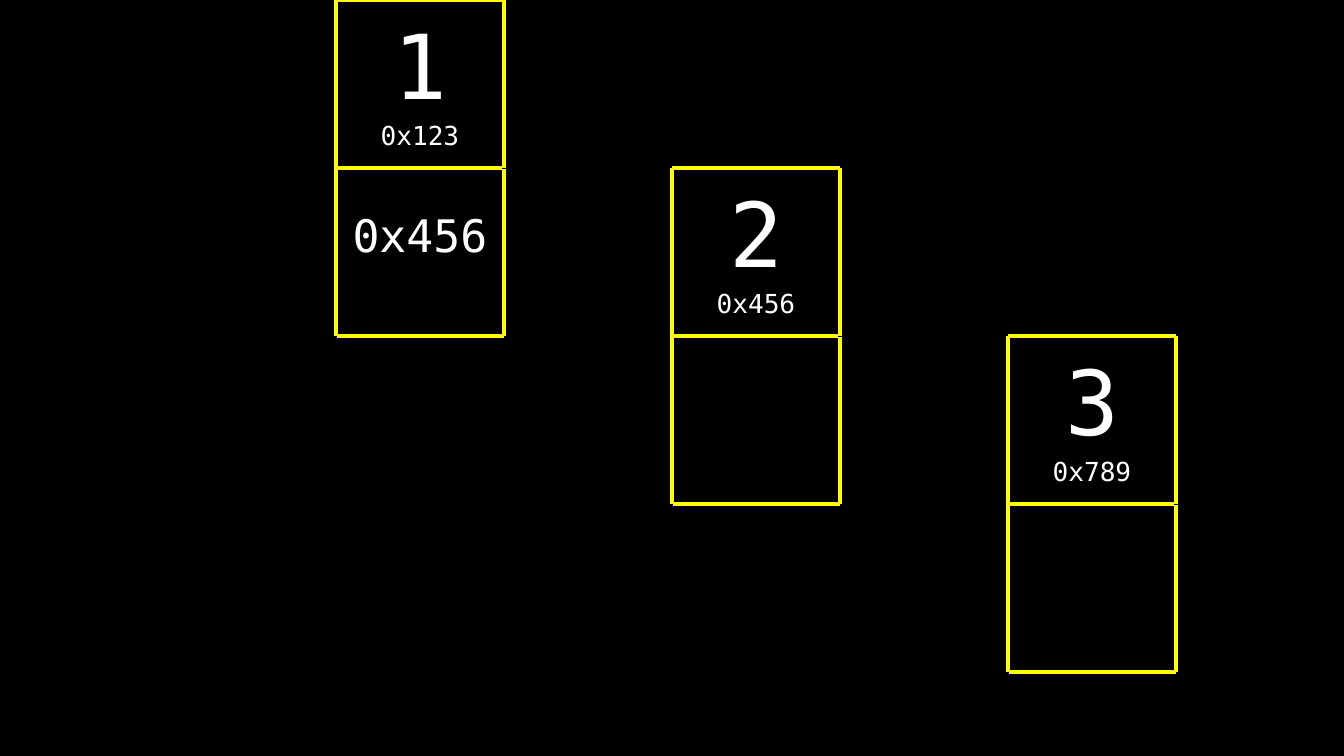
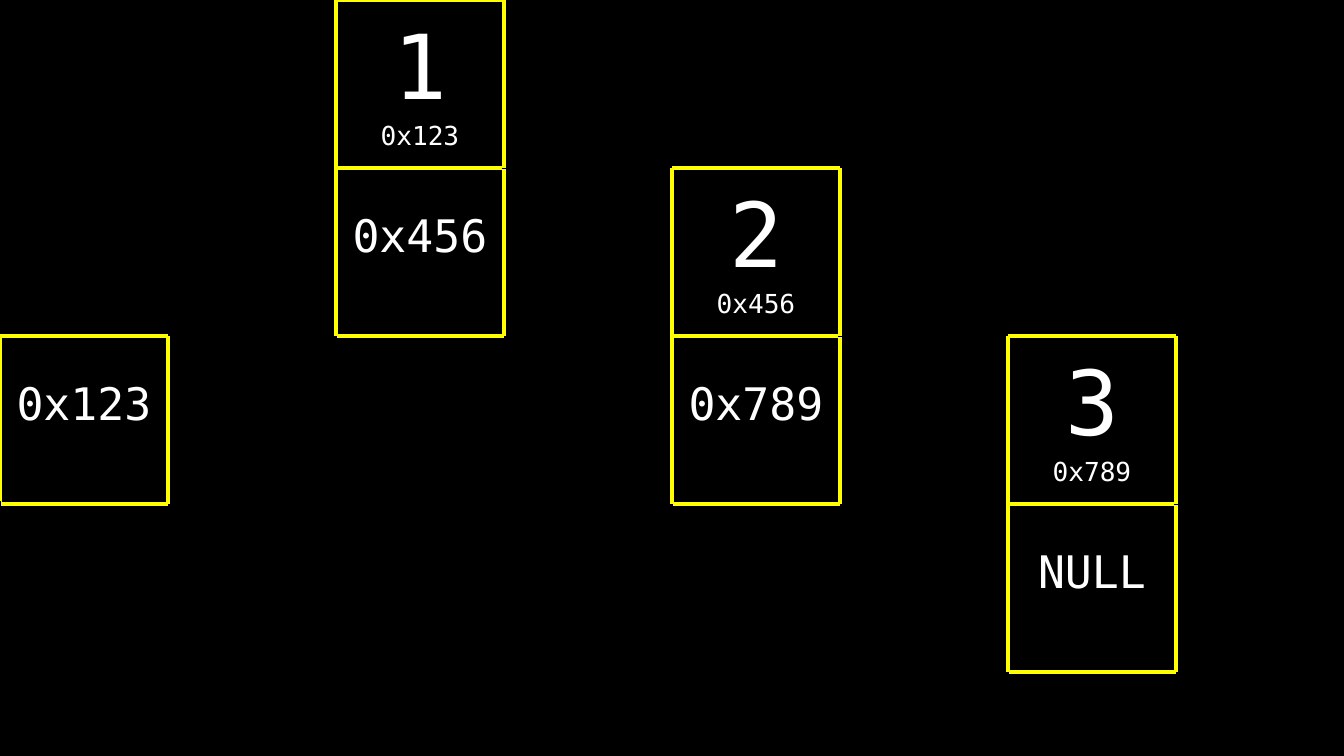
from lxml.etree import SubElement
from pptx import Presentation
from pptx.dml.color import RGBColor as RGB
from pptx.enum.text import MSO_ANCHOR as ANCHOR, PP_ALIGN as ALIGN
from pptx.oxml.ns import qn
from pptx.util import Pt

COLORS = {"background": "000000", "text": "FFFFFF", "border": "FFFF00"}
FONT = "DejaVu Sans Mono"
ROWS, COLS, CELL = 5, 8, 90
INSET, POINTER_INSET = 7.2, 39.2
SIDES = {"lnL": (0, -1), "lnR": (0, 1), "lnT": (-1, 0), "lnB": (1, 0)}
NO_STYLE = "{2D5ABB26-0587-4C30-8999-92F81FD0307C}"
NODES = [("1", "0x123"), ("2", "0x456"), ("3", "0x789")]


def write(p, text, size, color="text", align=ALIGN.CENTER):
    """Put one formatted run of text into a paragraph."""
    p.alignment = align
    r = p.add_run()
    r.text = text
    r.font.size = Pt(size)
    r.font.name = FONT
    r.font.color.rgb = RGB.from_string(COLORS[color])


def set_margins(cell, bottom=INSET):
    """Give a cell its inner margins."""
    cell.margin_left = cell.margin_right = cell.margin_top = Pt(INSET)
    cell.margin_bottom = Pt(bottom)


def draw_edge(cell, side, color, width):
    """Draw one edge of a cell."""
    ln = SubElement(cell._tc.get_or_add_tcPr(), qn(f"a:{side}"), w=str(Pt(width)))
    fill = SubElement(ln, qn("a:solidFill"))
    SubElement(fill, qn("a:srgbClr"), val=COLORS[color])
    SubElement(ln, qn("a:prstDash"), val="solid")


def fill_value(cell, value, address):
    """Write a node's value above its address."""
    set_margins(cell)
    cell.vertical_anchor = ANCHOR.MIDDLE
    tf = cell.text_frame
    write(tf.paragraphs[0], value, 48)
    write(tf.add_paragraph(), address, 14)


def fill_pointer(cell, target):
    """Write the address that a pointer holds."""
    set_margins(cell, bottom=POINTER_INSET)
    cell.vertical_anchor = ANCHOR.BOTTOM
    write(cell.text_frame.paragraphs[0], target, 24)


def add_grid(slide, boxes):
    """Add the memory grid, with yellow edges round its boxes and dark ones elsewhere."""
    frame = slide.shapes.add_table(ROWS, COLS, 0, 0, Pt(COLS * CELL), Pt(ROWS * CELL))
    table = frame.table
    table.first_row = table.horz_banding = False
    table._tbl.tblPr.find(qn("a:tableStyleId")).text = NO_STYLE
    for row in range(ROWS):
        for col in range(COLS):
            cell = table.cell(row, col)
            for side, (down, right) in SIDES.items():
                if boxes & {(row, col), (row + down, col + right)}:
                    draw_edge(cell, side, "border", 3)
                else:
                    draw_edge(cell, side, "background", 0.25)
            cell.fill.background()
    return table


def add_list_slide(prs, pointers, head=None):
    """Add a slide with the linked list in its current state."""
    s = prs.slides.add_slide(prs.slide_layouts[6])
    s.background.fill.solid()
    s.background.fill.fore_color.rgb = RGB.from_string(COLORS["background"])
    values = {(i, 2 * i + 2): node for i, node in enumerate(NODES)}
    targets = {(i + 1, 2 * i + 2): target for i, target in enumerate(pointers)}
    if head:
        targets[2, 0] = head
    table = add_grid(s, set(values) | set(targets))
    for place, node in values.items():
        fill_value(table.cell(*place), *node)
    for place, target in targets.items():
        if target:
            fill_pointer(table.cell(*place), target)


def main():
    """Build both states of the list."""
    prs = Presentation()
    prs.slide_width, prs.slide_height = Pt(720), Pt(405)
    add_list_slide(prs, ["0x456", None, None])
    add_list_slide(prs, ["0x456", "0x789", "NULL"], head="0x123")
    prs.save("out.pptx")


if __name__ == "__main__":
    main()
